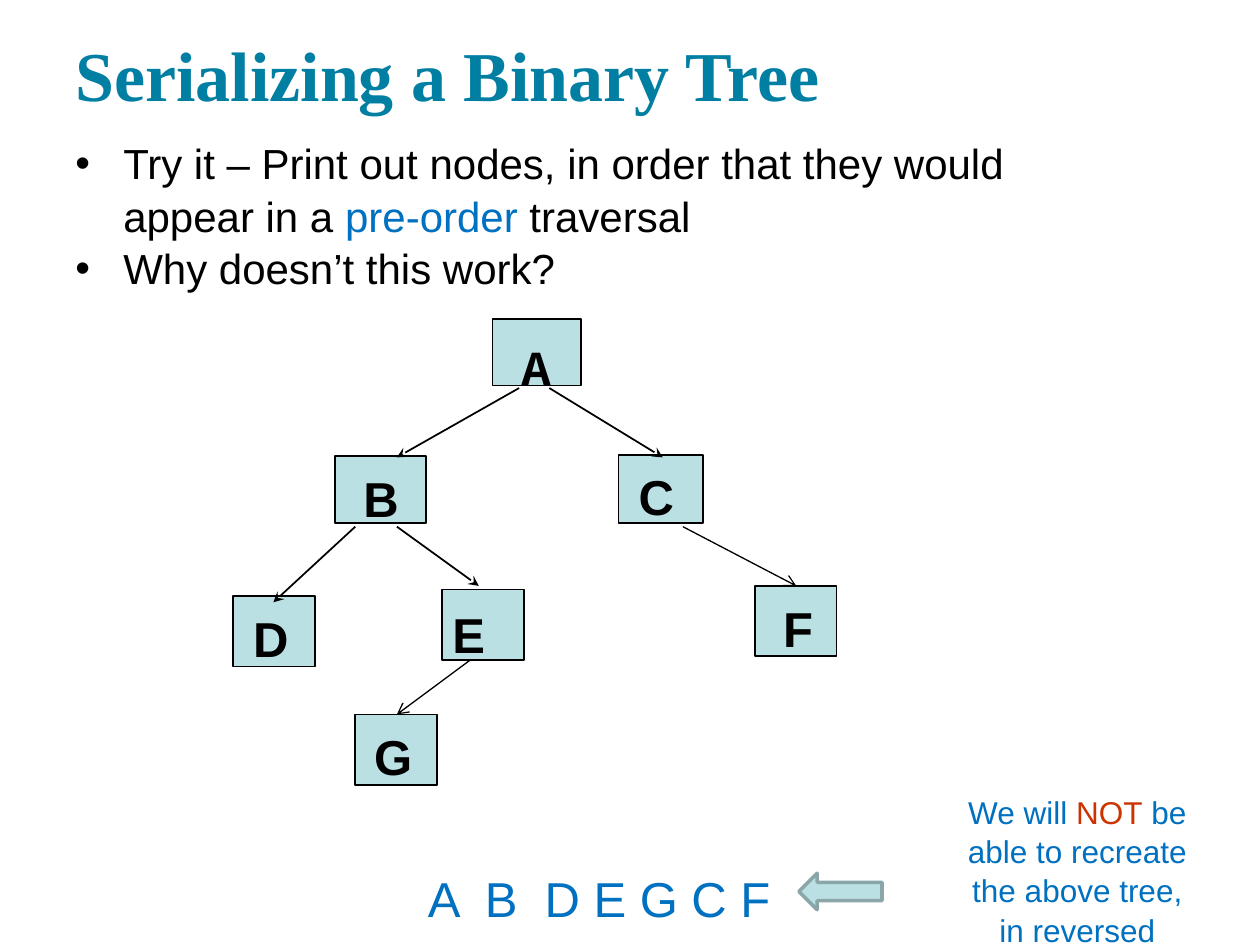
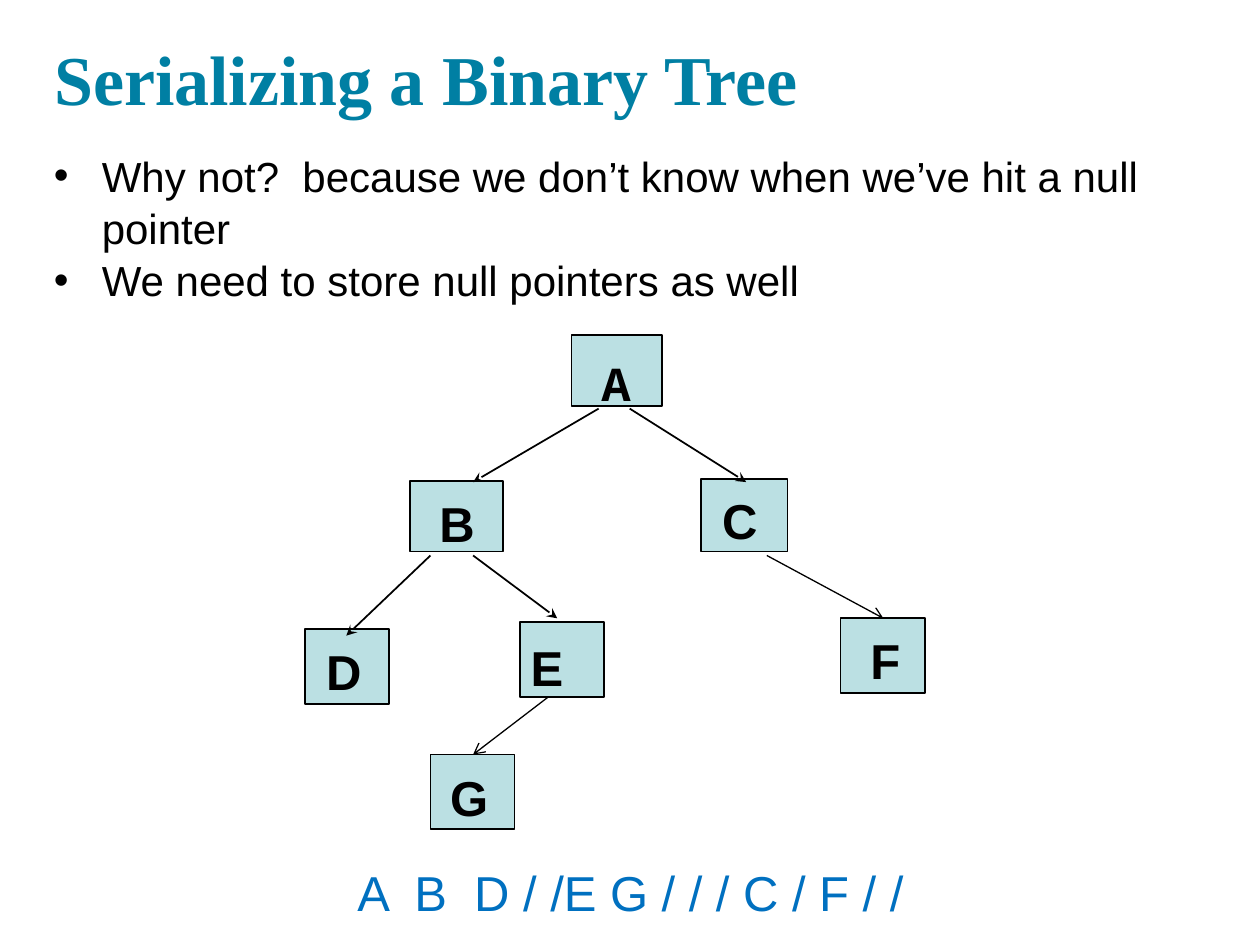
from pptx import Presentation
from pptx.dml.color import RGBColor
from pptx.enum.shapes import MSO_CONNECTOR, MSO_SHAPE
from pptx.enum.text import MSO_ANCHOR, MSO_AUTO_SIZE, PP_ALIGN
from pptx.oxml.ns import qn
from pptx.util import Inches, Pt
from lxml.etree import SubElement

COLUMNS, ROWS = 100, 75
BLACK, BLUE, RED, TEAL = "000000", "0070C0", "CC3300", "007FA3"
PALE, GREY = "BBE0E3", "8AA6A8"

NODES = {
    "A": (20.6, 0, 7, 5.3),
    "B": (8.1, 10.9, 7.2, 5.3),
    "C": (30.6, 10.8, 6.7, 5.4),
    "D": (0, 22, 6.5, 5.6),
    "E": (16.6, 21.5, 6.5, 5.6),
    "F": (41.4, 21.2, 6.5, 5.6),
    "G": (9.7, 31.4, 6.5, 5.6),
}
LETTERS = {
    "A": (1.3, 0.4, 4.3),
    "B": (1.6, 0, 4.1),
    "C": (1, -0.1, 4),
    "D": (0.8, 0, 4.4),
    "E": (0.2, 0.2, 3.8),
    "F": (1.6, 0, 3.7),
    "G": (0.8, 0, 4.4),
}
EDGES = [
    (22.7, 5.5, 13, 11, "stealth", 1),
    (25.1, 5.5, 34.1, 11, "stealth", 1),
    (9.7, 16.5, 3.2, 22.5, "stealth", 1),
    (13, 16.5, 19.5, 21.2, "stealth", 1),
    (18.8, 27.1, 13, 31.4, "arrow", 0.75),
    (35.7, 16.5, 44.7, 21.2, "arrow", 0.75),
]


def color(value):
    return RGBColor.from_string(value)


def assign(target, values):
    for name, value in values.items():
        setattr(target, name, value)


class TreeDeck:
    """Draws titles, text, nodes and arrows on the current slide."""

    def __init__(self):
        self.presentation = Presentation()
        assign(self.presentation, {"slide_width": Inches(10), "slide_height": Inches(7.5)})
        self.column = self.presentation.slide_width / COLUMNS
        self.row = self.presentation.slide_height / ROWS
        self.slide = None

    def box(self, left, top, width, height):
        return (round(left * self.column), round(top * self.row),
                round(width * self.column), round(height * self.row))

    def add_slide(self, title, *place):
        layout = self.presentation.slide_layouts.get_by_name("Title Only")
        self.slide = self.presentation.slides.add_slide(layout)
        shape = self.slide.shapes.title
        assign(shape, dict(zip(("left", "top", "width", "height"), self.box(*place))))
        self.fill_text(shape, [[(title, TEAL)]], 40, font="Times New Roman", bold=True,
                       align=PP_ALIGN.LEFT)

    def fill_text(self, shape, paragraphs, size, font="Arial", bold=False,
                  align=PP_ALIGN.CENTER, wrap=True, bullet=False):
        frame = shape.text_frame
        assign(frame, {
            "word_wrap": wrap,
            "auto_size": MSO_AUTO_SIZE.NONE,
            "vertical_anchor": MSO_ANCHOR.TOP,
            "margin_top": Inches(0.05 + 0.0011 * size),
        })
        for index, runs in enumerate(paragraphs):
            paragraph = frame.add_paragraph() if index else frame.paragraphs[0]
            assign(paragraph, {"alignment": align, "line_spacing": 1.04,
                               "space_before": Pt(0)})
            if bullet:
                self.add_bullet(paragraph)
            for text, shade in runs:
                run = paragraph.add_run()
                run.text = text
                assign(run.font, {"name": font, "size": Pt(size), "bold": bold})
                run.font.color.rgb = color(shade)

    def add_bullet(self, paragraph):
        properties = paragraph._p.get_or_add_pPr()
        indent = Inches(0.38)
        properties.set("marL", str(indent))
        properties.set("indent", str(-indent))
        SubElement(properties, qn("a:buFont")).set("typeface", "Arial")
        SubElement(properties, qn("a:buChar")).set("char", "•")

    def add_text(self, place, paragraphs, size, shapes=None, **style):
        shapes = shapes or self.slide.shapes
        self.fill_text(shapes.add_textbox(*self.box(*place)), paragraphs, size, **style)

    def add_bullets(self, place, paragraphs):
        self.add_text(place, paragraphs, 24, align=PP_ALIGN.LEFT, bullet=True)

    def add_block(self, kind, place, line, weight, shapes=None):
        shapes = self.slide.shapes if shapes is None else shapes
        shape = shapes.add_shape(kind, *self.box(*place))
        shape.shadow.inherit = False
        shape.fill.solid()
        shape.fill.fore_color.rgb = color(PALE)
        shape.line.color.rgb = color(line)
        shape.line.width = Pt(weight)
        return shape

    def add_edge(self, shapes, start, end, head, weight):
        ends = self.box(*start, *end)
        connector = shapes.add_connector(MSO_CONNECTOR.STRAIGHT, *ends)
        connector.line.color.rgb = color(BLACK)
        connector.line.width = Pt(weight)
        properties = connector.element.spPr
        SubElement(properties.find(qn("a:ln")), qn("a:tailEnd")).set("type", head)
        SubElement(properties, qn("a:effectLst"))

    def add_tree(self, left, top, across=1, down=1):
        shapes = self.slide.shapes.add_group_shape().shapes

        def point(x, y):
            return left + x * across, top + y * down

        for x, y, width, height in NODES.values():
            place = (*point(x, y), width * across, height * down)
            self.add_block(MSO_SHAPE.RECTANGLE, place, BLACK, 1, shapes)
        for x1, y1, x2, y2, head, weight in EDGES:
            self.add_edge(shapes, point(x1, y1), point(x2, y2), head, weight)
        for letter, (x, y, width) in LETTERS.items():
            node = NODES[letter]
            place = (*point(node[0] + x, node[1] + y), width * across, 5.4 * down)
            font = "Courier New" if letter == "A" else "Arial"
            self.add_text(place, [[(letter, BLACK)]], 28, shapes,
                          font=font, bold=True, wrap=False)


TITLE = "Serializing a Binary Tree"
deck = TreeDeck()

deck.add_slide(TITLE, 5, 1.3, 88.8, 7.7)
deck.add_bullets((5, 10, 81.9, 13.1), [
    [("Try it – Print out nodes, in order that they would appear in a ", BLACK),
     ("pre-order", BLUE), (" traversal", BLACK)],
    [("Why doesn’t this work?", BLACK)],
])
deck.add_tree(18.5, 25.3)
deck.add_text((32.5, 67.9, 30.1, 5.7), [[("A  B  D E G C F", BLUE)]], 28)
deck.add_text((75.1, 62.1, 20.8, 13.1), [[
    ("We will ", BLUE), ("NOT", RED),
    (" be able to recreate the above tree, in reversed", BLUE),
]], 18)
pointer = deck.add_block(MSO_SHAPE.RIGHT_ARROW, (63.4, 69.3, 6.6, 2.9), GREY, 2)
pointer.rotation = 180

deck.add_slide(TITLE, 3.3, 1.6, 85.5, 7.7)
deck.add_bullets((3.3, 11, 93.3, 13.1), [
    [("Why not?  because we don’t know when we’ve hit a null pointer", BLACK)],
    [("We need to store null pointers as well", BLACK)],
])
deck.add_tree(24.2, 26.6, 1.027, 1.06)
deck.add_text((25.2, 67.5, 49.7, 5.7), [[("A  B  D / /E G / / / C / F / /", BLUE)]], 28)

deck.presentation.save("out.pptx")
